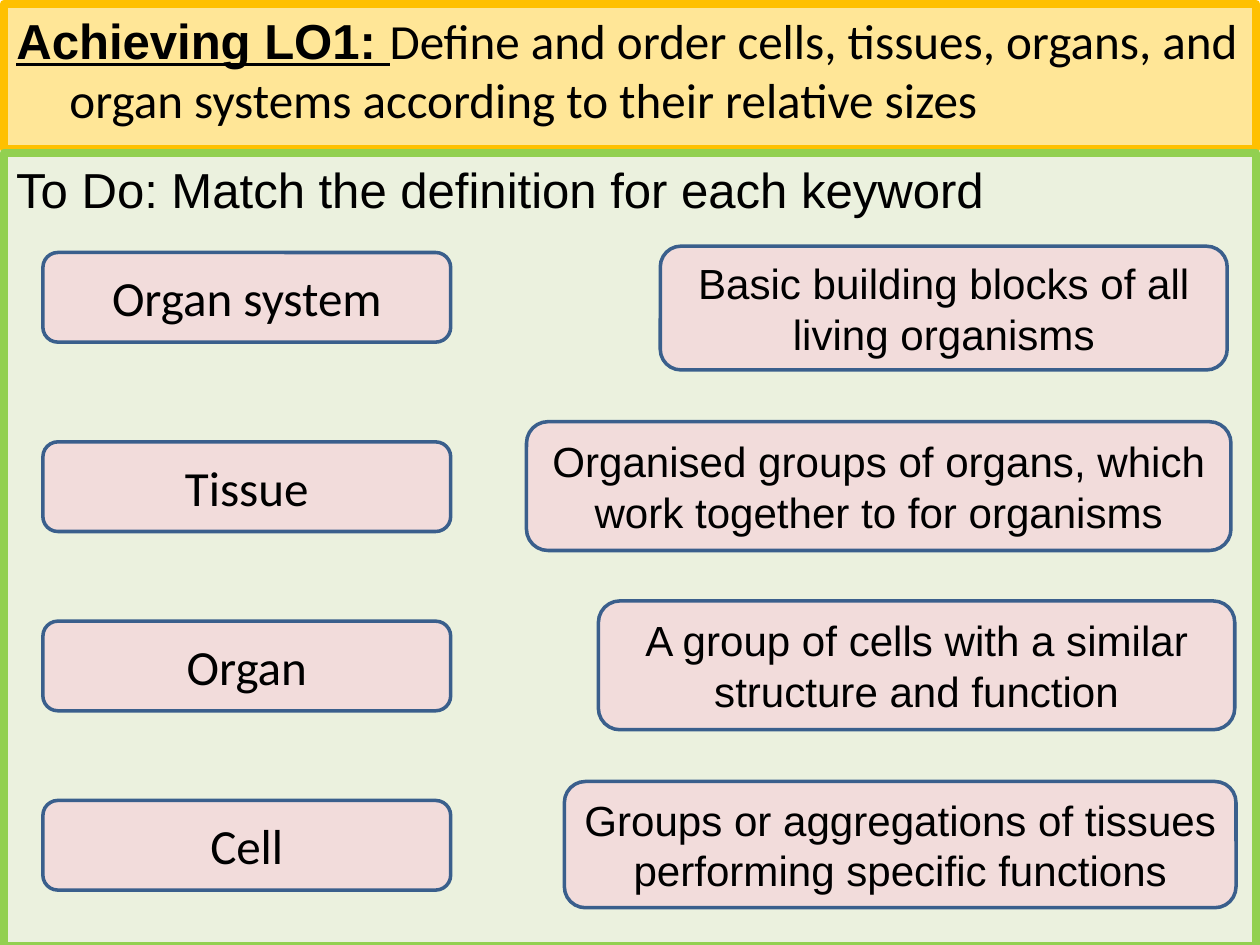
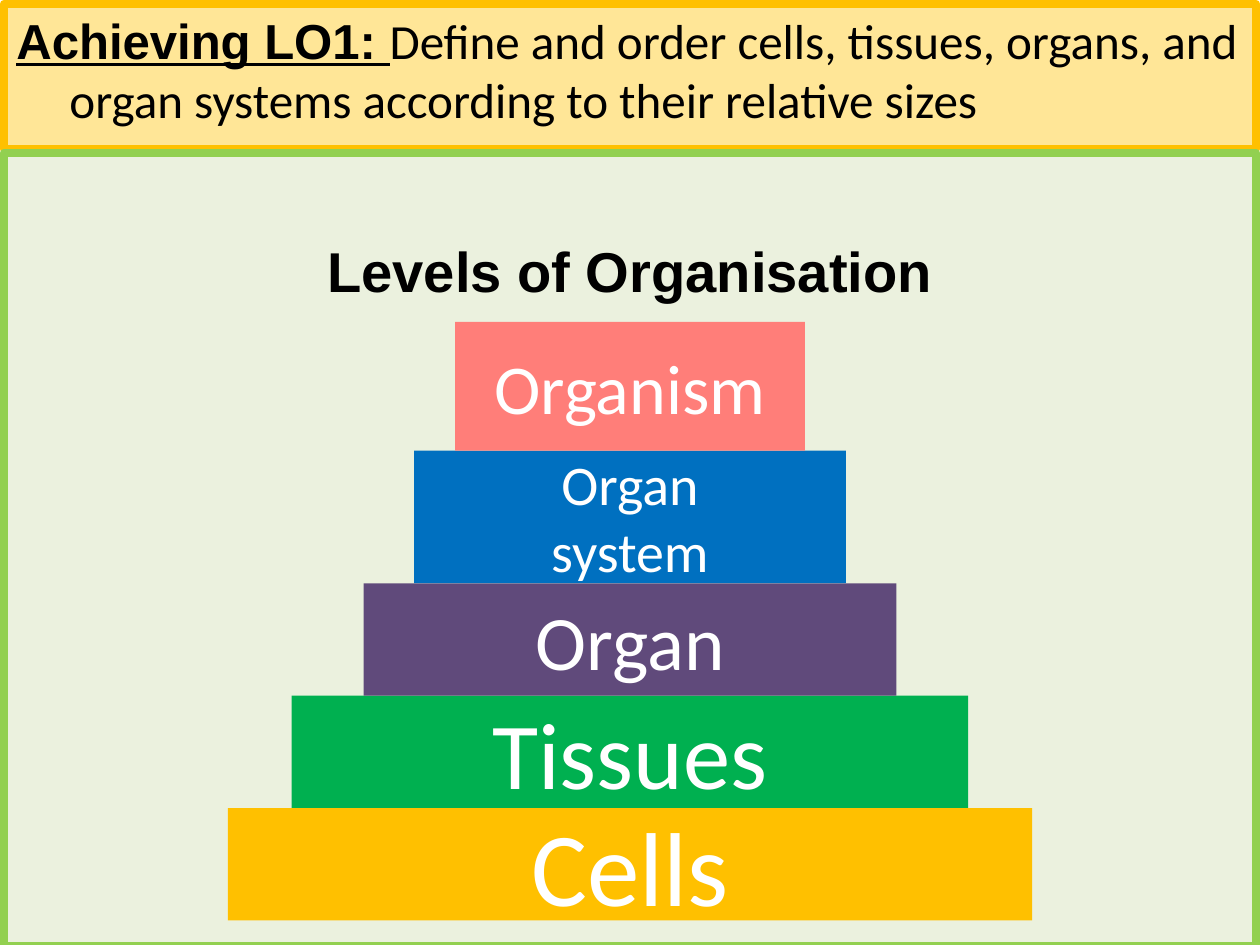
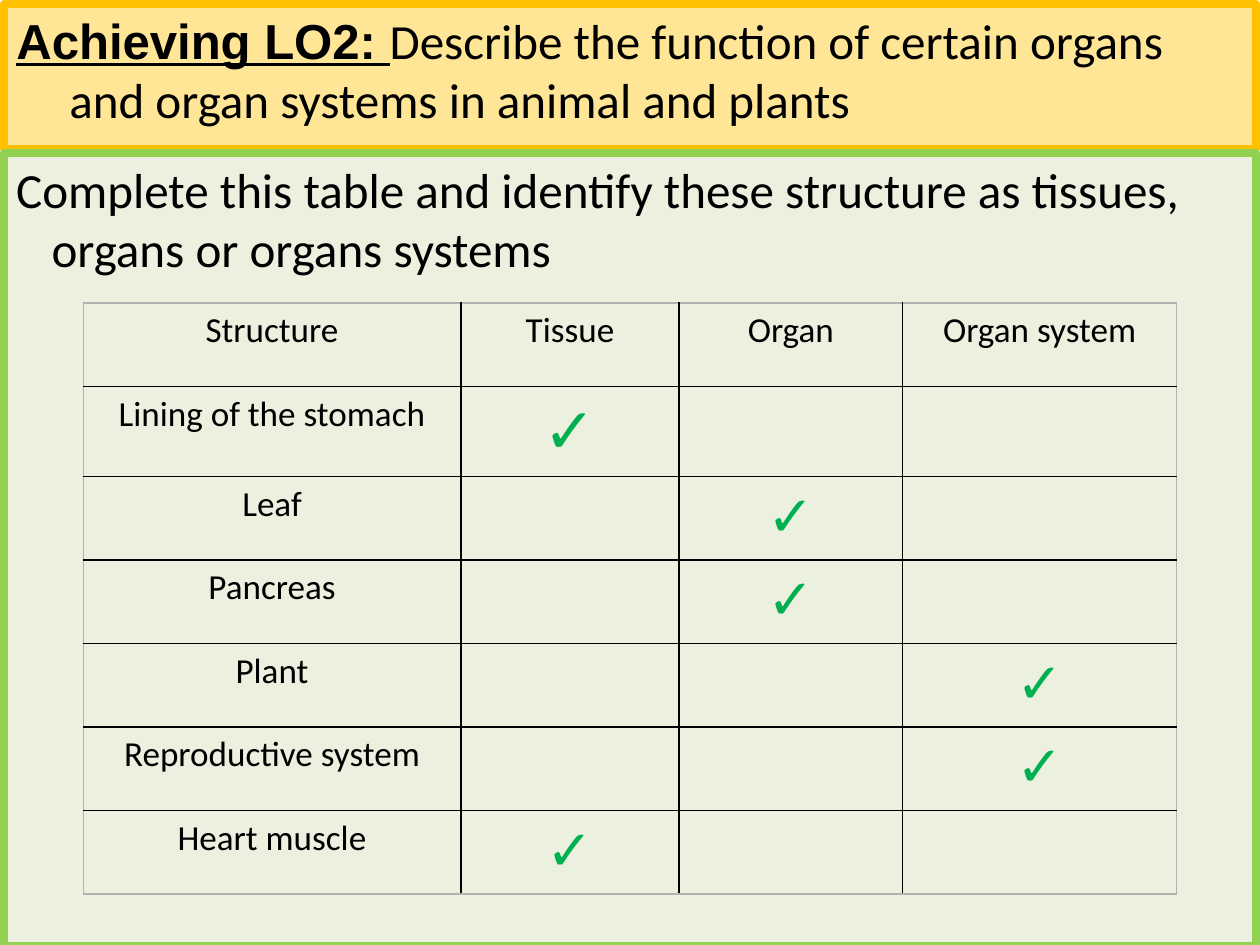
from lxml import etree
from pptx import Presentation
from pptx.dml.color import RGBColor as Rgb
from pptx.enum.shapes import MSO_SHAPE as Kind
from pptx.enum.text import MSO_ANCHOR as Anchor, MSO_AUTO_SIZE as Fit, PP_ALIGN as Align
from pptx.oxml.ns import qn
from pptx.util import Inches, Pt

HUES = {
    "black": "000000", "white": "FFFFFF", "grey": "B2B2B2",
    "band": "FFE697", "gold": "FFC000", "panel": "EBF1DE", "lime": "92D050",
    "pink": "F2DCDB", "navy": "3A5F8C", "green": "00B050",
    "plum": "604A7B", "blue": "0070C0", "coral": "FF7E79",
}
HUES = {name: Rgb.from_string(code) for name, code in HUES.items()}


def write(frame, text, size, font="Calibri", hue="black", align=Align.CENTER):
    frame.text = text
    for para in frame.paragraphs:
        para.alignment = align
        para.font.size = Pt(size)
        para.font.name = font
        para.font.color.rgb = HUES[hue]


def paint(shape, fill, line=None, width=2):
    shape.fill.solid()
    shape.fill.fore_color.rgb = HUES[fill]
    if line:
        shape.line.color.rgb = HUES[line]
        shape.line.width = Pt(width)
    else:
        shape.line.fill.background()


# Slides in the ratio 4:3
deck = Presentation()
deck.slide_width, deck.slide_height = Inches(9.98), Inches(9.98 * 3 / 4)

# Shared frame: gold title band above a green panel
order = "Define and order cells, tissues, organs, and organ systems according to their relative sizes"
duty = "Describe the function of certain organs and organ systems in animal and plants"
match = "To Do: Match the definition for each keyword"
fill_in = "Complete this table and identify these structure as tissues, organs or organs systems"
slides = []
for goal, aim, task, font in [
    ("LO1", order, match, "Arial"),
    ("LO1", order, "", "Arial"),
    ("LO2", duty, fill_in, "Calibri"),
]:
    slide = deck.slides.add_slide(deck.slide_layouts[5])
    slides.append(slide)

    title = slide.shapes.title
    title.left, title.top = Inches(0.03), Inches(0.03)
    title.width, title.height = Inches(9.92), Inches(1.15)
    paint(title, "band", "gold", 4.5)
    write(title.text_frame, f"Achieving {goal}: ", 28, align=Align.LEFT)
    para = title.text_frame.paragraphs[0]
    label = para.runs[0].font
    label.name, label.bold, label.underline = "Arial", True, True
    para.add_run().text = aim

    panel = slide.shapes.add_shape(
        Kind.RECTANGLE, Inches(0.03), Inches(1.21), Inches(9.92), Inches(6.28))
    panel.shadow.inherit = False
    paint(panel, "panel", "lime", 4.5)
    write(panel.text_frame, task, 28, font, align=Align.LEFT)

    for shape, hang in [(title, 0.42), (panel, 0.28)]:
        frame = shape.text_frame
        frame.word_wrap, frame.auto_size = True, Fit.NONE
        frame.vertical_anchor = Anchor.TOP
        props = frame.paragraphs[0]._p.get_or_add_pPr()
        props.set("marL", str(Inches(hang)))
        props.set("indent", str(-Inches(hang)))

quiz, tower, grid = slides

# Keywords on the left, definitions on the right
left, wide, tall = 0.34, 3.23, 0.71
cards = [
    ("Organ system", 28, "Calibri", left, 2, wide, tall),
    ("Tissue", 28, "Calibri", left, 3.5, wide, tall),
    ("Organ", 28, "Calibri", left, 4.92, wide, tall),
    ("Cell", 28, "Calibri", left, 6.34, wide, tall),
    ("Basic building blocks of all living organisms",
     24, "Arial", 5.23, 1.95, 4.49, 0.98),
    ("Organised groups of organs, which work together to for organisms",
     24, "Arial", 4.17, 3.34, 5.58, 1.02),
    ("A group of cells with a similar structure and function",
     24, "Arial", 4.74, 4.76, 5.04, 1.02),
    ("Groups or aggregations of tissues performing specific functions",
     24, "Arial", 4.47, 6.19, 5.32, 1),
]
for text, size, font, *place in cards:
    card = quiz.shapes.add_shape(Kind.ROUNDED_RECTANGLE, *map(Inches, place))
    card.shadow.inherit = False
    paint(card, "pink", "navy")
    write(card.text_frame, text, size, font)

# Steps stacked upwards from the base, all on one centre line
base = 7.29
for text, size, hue, wide, tall in [
    ("Cells", 59.9, "gold", 6.37, 0.89),
    ("Tissues", 53.9, "green", 5.36, 0.89),
    ("Organ", 43.9, "plum", 4.22, 0.89),
    ("Organ\nsystem", 31.9, "blue", 3.42, 1.05),
    ("Organism", 39.9, "coral", 2.77, 1.02),
]:
    base -= tall
    step = tower.shapes.add_shape(
        Kind.RECTANGLE, Inches(4.99 - wide / 2), Inches(base), Inches(wide), Inches(tall))
    step.shadow.inherit = False
    paint(step, hue)
    write(step.text_frame, text, size, hue="white")

head = tower.shapes.add_textbox(Inches(2.43), Inches(1.82), Inches(5.12), Inches(0.64))
head.text_frame.word_wrap = True
write(head.text_frame, "Levels of Organisation", 32, "Arial")
head.text_frame.paragraphs[0].font.bold = True

# Table of structures, one tick in each row
heads = ["Structure", "Tissue", "Organ", "Organ system"]
ticks = [
    ("Lining of the stomach", "Tissue"), ("Leaf", "Organ"), ("Pancreas", "Organ"),
    ("Plant", "Organ system"), ("Reproductive system", "Organ system"),
    ("Heart muscle", "Tissue"),
]
rows = [heads] + [
    [name] + ["✓" if kind == level else "" for level in heads[1:]] for name, kind in ticks]
full, tall = 4.67, 0.7
low = (full - tall) / (len(rows) - 1)
table = grid.shapes.add_table(
    len(rows), len(heads), Inches(0.66), Inches(2.4), Inches(8.66), Inches(full)).table
table.first_row = table.horz_banding = False
for col, wide in zip(table.columns, [2.99, 1.73, 1.77, 2.17]):
    col.width = Inches(wide)
for r, row in enumerate(rows):
    table.rows[r].height = Inches(tall if r == 1 else low)
    for c, text in enumerate(row):
        cell = table.cell(r, c)
        if text == "✓":
            write(cell.text_frame, text, 36 if r == 1 else 32, hue="green")
        else:
            write(cell.text_frame, text, 20)
        props = cell._tc.get_or_add_tcPr()
        for side, outer in [
            ("lnL", c == 0), ("lnR", c == len(heads) - 1),
            ("lnT", r == 0), ("lnB", r == len(rows) - 1),
        ]:
            edge = etree.SubElement(props, qn(f"a:{side}"), w=str(Pt(1)))
            fill = etree.SubElement(edge, qn("a:solidFill"))
            hue = HUES["grey" if outer else "black"]
            etree.SubElement(fill, qn("a:srgbClr"), val=str(hue))
        cell.fill.background()

deck.save("out.pptx")
